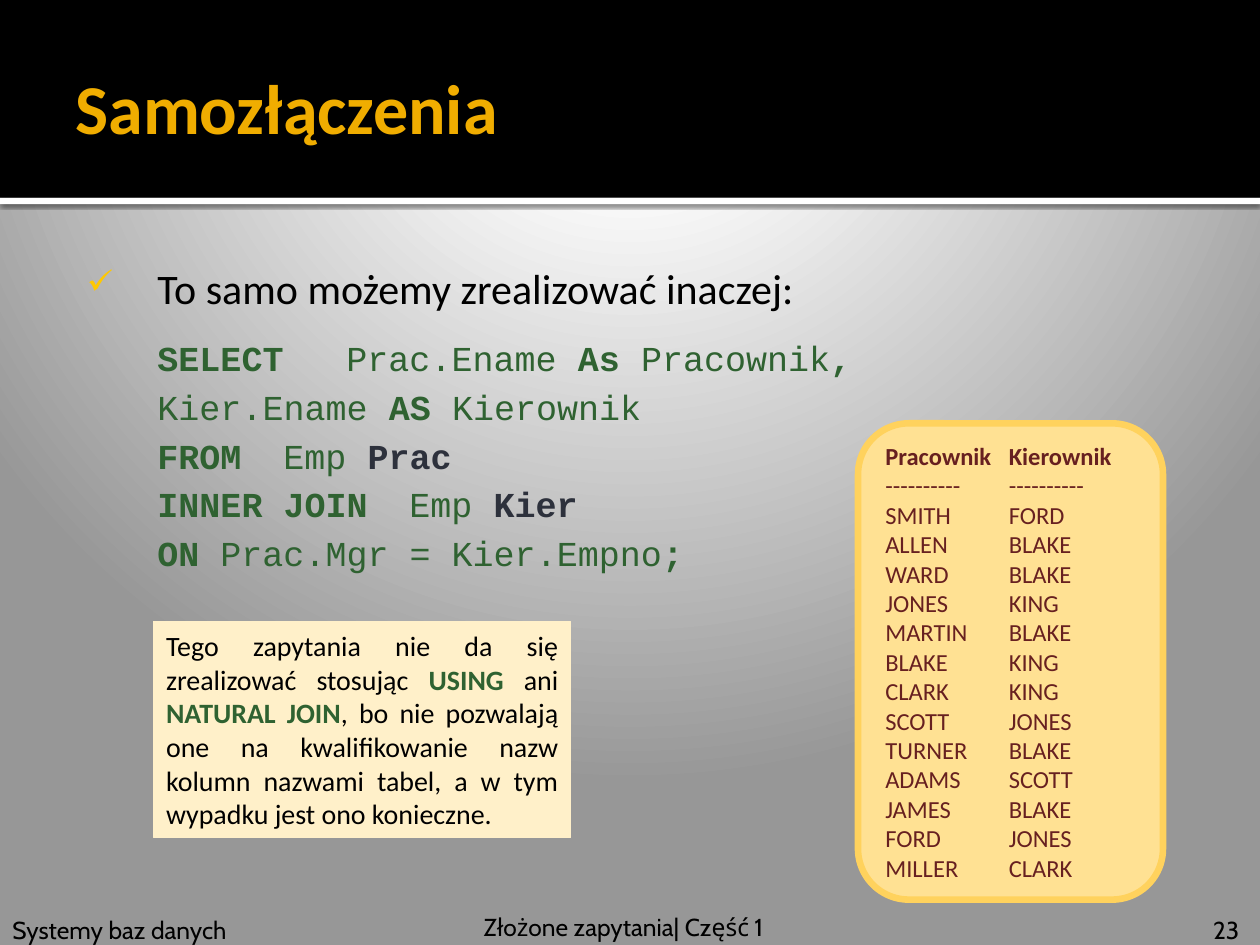
import pptx
import pptx.util
import pptx.dml.color
import pptx.enum.shapes
import pptx.enum.text
import pptx.oxml
from dataclasses import dataclass
from pptx.oxml.ns import nsdecls, qn

WIDE, HIGH = 10, 7.5
SHAPE = pptx.enum.shapes.MSO_SHAPE
ALIGN = pptx.enum.text.PP_ALIGN
ANCHOR = pptx.enum.text.MSO_ANCHOR


@dataclass(frozen=True)
class Theme:
    black: str = "000000"
    white: str = "FFFFFF"
    grey: str = "979797"
    gold: str = "F0AD00"
    tick: str = "FFC800"
    green: str = "2F6231"
    slate: str = "2D313C"
    wine: str = "672020"
    card: str = "FFE193"
    edge: str = "FFD25D"
    note: str = "FFF0C9"
    sans: str = "Calibri"
    mono: str = "Courier New"
    foot: str = "Cabin"
    head_size: int = 40
    lead_size: int = 24
    code_size: int = 20
    note_size: int = 16
    small_size: int = 14


LOOK = Theme()
BAND = 1.57  # height of the title band
PAIRS = """SMITH FORD
ALLEN BLAKE
WARD BLAKE
JONES KING
MARTIN BLAKE
BLAKE KING
CLARK KING
SCOTT JONES
TURNER BLAKE
ADAMS SCOTT
JAMES BLAKE
FORD JONES
MILLER CLARK"""
KEY, NAME, ALIAS = (LOOK.green, True), (LOOK.green, False), (LOOK.slate, True)
PLAIN = (LOOK.black, False)
QUERY = [
    [("SELECT\t", KEY), ("Prac.Ename", NAME), (" As ", KEY), ("Pracownik", NAME), (",", KEY)],
    [("Kier.Ename", NAME), (" AS ", KEY), ("Kierownik", NAME)],
    [("FROM\t", KEY), ("Emp ", NAME), ("Prac", ALIAS)],
    [("INNER JOIN\t", KEY), ("Emp ", NAME), ("Kier", ALIAS)],
    [("ON\t", KEY), ("Prac.Mgr = Kier.Empno", NAME), (";", KEY)],
]
REMARK = [
    ("Tego zapytania nie da się zrealizować stosując ", PLAIN), ("USING", KEY),
    (" ani ", PLAIN), ("NATURAL JOIN", KEY),
    (", bo nie pozwalają one na kwalifikowanie nazw kolumn nazwami tabel, "
     "a w tym wypadku jest ono konieczne.", PLAIN),
]


def paint(code):
    return pptx.dml.color.RGBColor.from_string(code)


def inch(*sizes):
    return [pptx.util.Inches(size) for size in sizes]


def node(xml):
    """Make one element from XML that uses the a: prefix."""
    return pptx.oxml.parse_xml(f"<a:root {nsdecls('a')}>{xml}</a:root>")[0]


def style(run, size, face, color, bold=False):
    font = run.font
    font.size, font.name, font.bold = pptx.util.Pt(size), face, bold
    font.color.rgb = paint(color)


def write(par, text, size, face, color, bold=False):
    par.text = text
    for run in par.runs:
        style(run, size, face, color, bold)


def mix(par, rows, size, face):
    """Fill one paragraph with rows of (text, (colour, bold)) pieces."""
    for index, row in enumerate(rows):
        if index:
            par.add_line_break()
        for text, (color, bold) in row:
            run = par.add_run()
            run.text = text
            style(run, size, face, color, bold)


def tab(par, stop):
    par._p.get_or_add_pPr().append(
        node(f'<a:tabLst><a:tab pos="{pptx.util.Inches(stop)}" algn="l"/></a:tabLst>'))


def indent(par, left, first):
    props = par._p.get_or_add_pPr()
    props.set("marL", str(pptx.util.Inches(left)))
    props.set("indent", str(pptx.util.Inches(first)))
    return props


def block(slide, kind, box, fill, line=None, width=0.75):
    shape = slide.shapes.add_shape(kind, *inch(*box))
    shape.shadow.inherit = False
    shape.fill.solid()
    shape.fill.fore_color.rgb = paint(fill)
    if line:
        shape.line.color.rgb = paint(line)
        shape.line.width = pptx.util.Pt(width)
    else:
        shape.line.fill.background()
    return shape


def label(slide, box, text):
    frame = slide.shapes.add_textbox(*inch(*box)).text_frame
    frame.word_wrap = True
    write(frame.paragraphs[0], text, LOOK.small_size, LOOK.foot, LOOK.black)


def backdrop(slide):
    slide.background.fill.gradient()
    grad = slide._element.find(".//" + qn("a:gradFill"))
    for child in list(grad):
        grad.remove(child)
    stops = "".join(
        f'<a:gs pos="{share * 1000}"><a:srgbClr val="{color}"/></a:gs>'
        for share, color in [(0, LOOK.white), (20, LOOK.white), (100, LOOK.grey)])
    grad.append(node(f"<a:gsLst>{stops}</a:gsLst>"))
    grad.append(node('<a:path path="circle"><a:fillToRect l="10000" t="-25000" '
                     'r="10000" b="125000"/></a:path>'))


def header(slide):
    strip = block(slide, SHAPE.RECTANGLE, (0, BAND, WIDE, 0.05), LOOK.white)
    strip._element.spPr.find(qn("a:effectLst")).append(node(
        '<a:outerShdw blurRad="31750" dist="10160" dir="5400000">'
        f'<a:srgbClr val="{LOOK.black}"><a:alpha val="60000"/></a:srgbClr></a:outerShdw>'))
    block(slide, SHAPE.RECTANGLE, (0, 0, WIDE, BAND), LOOK.black)
    title = slide.shapes.title
    title.left, title.top, title.width, title.height = inch(0.5, 0.46, 9, 0.77)
    frame = title.text_frame
    frame.vertical_anchor = ANCHOR.MIDDLE
    par = frame.paragraphs[0]
    write(par, "Samozłączenia", LOOK.head_size, LOOK.sans, LOOK.gold, True)
    par.alignment = ALIGN.LEFT
    slide.shapes._spTree.append(title._element)  # in front of the band


def body(slide):
    frame = slide.shapes.add_textbox(*inch(0.5, 1.94, 9, 2.62)).text_frame
    frame.word_wrap = True
    frame.margin_left, frame.margin_top = inch(0.06, 0.1)
    lead, code = frame.paragraphs[0], frame.add_paragraph()
    write(lead, "To samo możemy zrealizować inaczej:", LOOK.lead_size, LOOK.sans, LOOK.black)
    mix(code, QUERY, LOOK.code_size, LOOK.mono)
    lead.line_spacing, code.line_spacing = 1.1, 1.16
    code.space_before = pptx.util.Pt(LOOK.code_size / 2)
    props = indent(lead, 0.69, -0.56)
    for xml in (f'<a:buClr><a:srgbClr val="{LOOK.tick}"/></a:buClr>',
                '<a:buSzPct val="80000"/>', '<a:buChar char="✓"/>'):
        props.append(node(xml))
    indent(code, 0.69, 0)
    tab(code, 2.45)


def result(slide):
    card = block(slide, SHAPE.ROUNDED_RECTANGLE, (6.81, 3.36, 2.42, 3.78),
                 LOOK.card, LOOK.edge, 3.78)
    frame = card.text_frame
    frame.vertical_anchor = ANCHOR.MIDDLE
    rows = [("Pracownik", "Kierownik"), ("-" * 10, "-" * 10)]
    rows += [line.split() for line in PAIRS.splitlines()]
    for index, row in enumerate(rows):
        par = frame.add_paragraph() if index else frame.paragraphs[0]
        write(par, "\t".join(row), LOOK.small_size, LOOK.sans, LOOK.wine, index == 0)
        par.alignment = ALIGN.LEFT
        tab(par, 0.98)


def remark(slide):
    frame = block(slide, SHAPE.RECTANGLE, (1.22, 4.93, 3.31, 1.72),
                  LOOK.note, LOOK.note).text_frame
    par = frame.paragraphs[0]
    par.alignment = ALIGN.JUSTIFY
    mix(par, [REMARK], LOOK.note_size, LOOK.sans)


def main():
    deck = pptx.Presentation()
    deck.slide_width, deck.slide_height = inch(WIDE, HIGH)
    slide = deck.slides.add_slide(deck.slide_layouts[5])
    backdrop(slide)
    header(slide)
    label(slide, (0, 7.21, 2.87, 0.34), "Systemy baz danych")
    label(slide, (9.53, 7.21, 0.47, 0.34), "23")
    body(slide)
    label(slide, (3.74, 7.19, 2.83, 0.34), "Złożone zapytania| Część 1")
    result(slide)
    remark(slide)
    deck.save("out.pptx")


if __name__ == "__main__":
    main()
